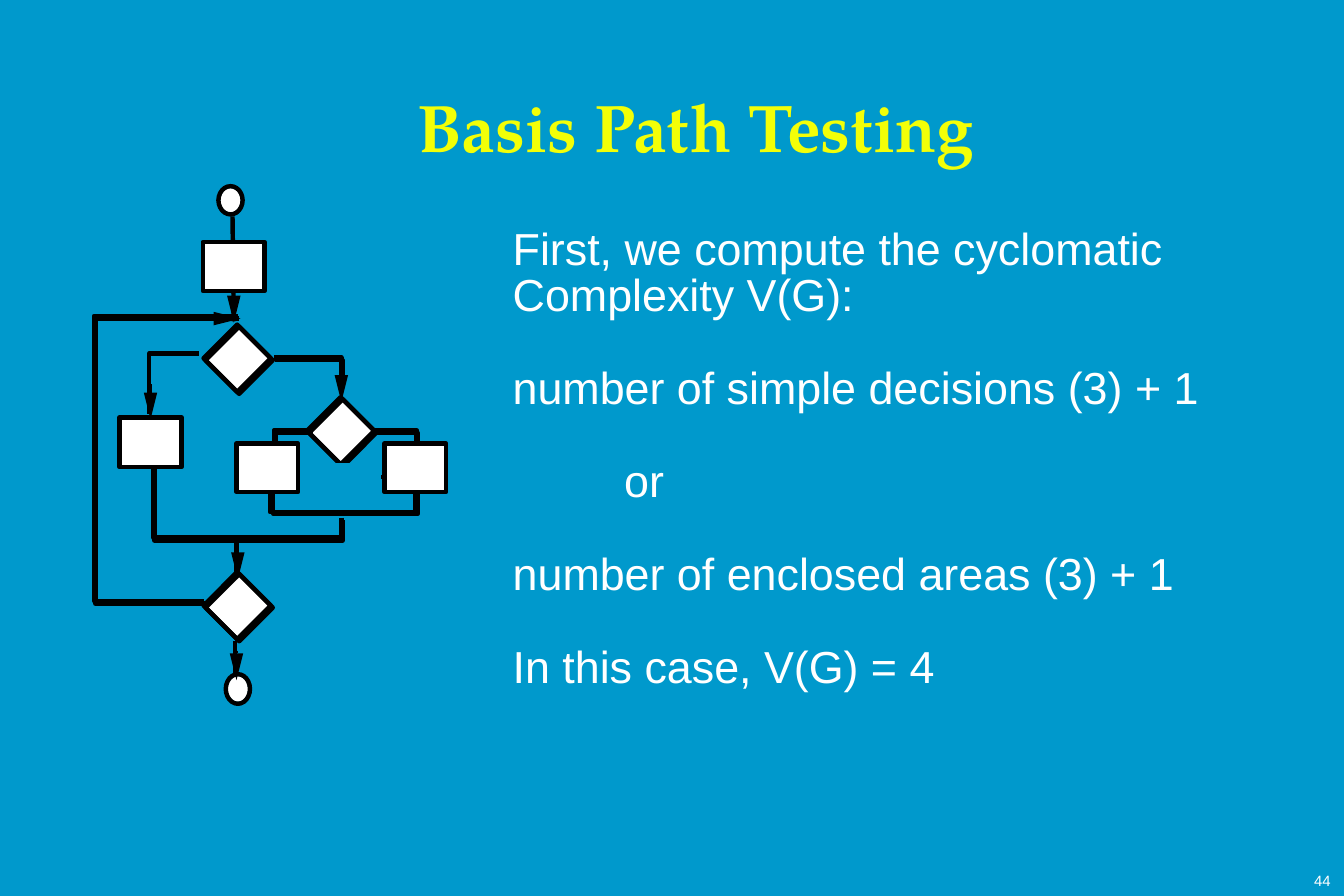
"""Build the slide on basis path testing, on a grid of 100 cells to the inch."""
from typing import NamedTuple

from lxml import etree
from pptx import Presentation
from pptx import util as u
from pptx.dml.color import RGBColor
from pptx.enum import shapes, text
from pptx.oxml.ns import qn

WIDE, HIGH = u.Inches(10), u.Emu(6094413)
CELL = u.Inches(0.01)
BLUE = RGBColor(0x00, 0x99, 0xCC)
BLACK = RGBColor(0x00, 0x00, 0x00)
WHITE = RGBColor(0xFF, 0xFF, 0xFF)
YELLOW = RGBColor(0xF3, 0xFF, 0x07)
THICK, THIN = 2.38, 1.39
RECT = shapes.MSO_SHAPE.RECTANGLE
OVAL = shapes.MSO_SHAPE.OVAL
GEM = shapes.MSO_SHAPE.DIAMOND


class Area(NamedTuple):
    col: float
    row: float
    wide: float
    high: float


class Point(NamedTuple):
    col: float
    row: float


class Route(NamedTuple):
    points: list[Point]
    twice: bool = True


class Arrow(NamedTuple):
    tip: Point
    stub: float
    down: bool = True


class Phrase(NamedTuple):
    words: str
    step: int
    wide: float
    dent: float = 0


GEMS = [Point(230, 297), Point(153, 243), Point(153, 427)]
STEPS = [Area(151, 180, 46, 36.5), Area(176, 330, 46, 36),
         Area(286, 330, 46, 36), Area(89, 310.5, 46, 37)]
ENDS = [Area(162.5, 138.5, 18, 21), Area(168, 501.5, 18, 22)]
JOIN = Area(201, 355, 108, 26)
COVER = Area(224, 345, 59, 19)
ROUTES = [
    Route([Point(205, 268), Point(255, 268), Point(255, 284)]),
    Route([Point(148, 263), Point(111, 263), Point(111, 308)], False),
    Route([Point(280, 322), Point(311, 322), Point(311, 347)]),
    Route([Point(233, 322), Point(205, 322), Point(205, 352)]),
    Route([Point(203, 367), Point(203, 382), Point(311, 382), Point(311, 367)], False),
    Route([Point(153, 449), Point(71, 449), Point(71, 237), Point(178, 237)]),
    Route([Point(255, 387), Point(255, 402), Point(115, 402), Point(115, 349)]),
]
LINKS = [(Point(173, 161), Point(174, 239)),
         (Point(176, 402), Point(176, 427)),
         (Point(175, 477), Point(175, 501))]
ARROWS = [Arrow(Point(179, 237), 1, False), Arrow(Point(254, 299), 8),
          Arrow(Point(112, 312), 6), Arrow(Point(177, 431), 8),
          Arrow(Point(174, 240), 1), Arrow(Point(176, 506), 2)]
PHRASES = [
    Phrase("First, we compute the cyclomatic", 0, 493),
    Phrase("Complexity V(G):", 1, 254),
    Phrase("number of simple decisions (3) + 1", 3, 594),
    Phrase("or", 5, 113, 83),
    Phrase("number of enclosed areas (3) + 1", 7, 492),
    Phrase("In this case, V(G) = 4", 9, 314),
]


def cells(*counts: float) -> list[int]:
    """Turn cell counts into lengths."""
    return [round(n * CELL) for n in counts]


def paint(shape, fill=None, line=None, width: float = THICK) -> None:
    """Set fill and line, and drop the shadow."""
    shape.shadow.inherit = False
    for part, tint in ((shape.fill, fill), (shape.line.fill, line)):
        if tint is None:
            part.background()
        else:
            part.solid()
            part.fore_color.rgb = tint
    if line is not None:
        shape.line.width = u.Pt(width)


def block(tree, kind, area: Area, fill=None, line=None, width: float = THICK) -> None:
    """Draw one preset shape."""
    paint(tree.add_shape(kind, *cells(*area)), fill, line, width)


def framed(tree, kind, area: Area) -> None:
    """Draw a white core inside a black frame."""
    core = Area(area.col + 1.5, area.row + 1.5, area.wide - 3, area.high - 3)
    block(tree, kind, core, fill=WHITE)
    block(tree, kind, area, line=BLACK)


def choice(tree, at: Point) -> None:
    """Draw a decision with a doubled outline."""
    block(tree, GEM, Area(*at, 50, 50), WHITE, BLACK)
    block(tree, GEM, Area(at.col - 1.5, at.row - 1.5, 50, 50), line=BLACK)


def trace(tree, points: list[Point], close: bool = False):
    """Outline a run of points."""
    pen = tree.build_freeform(*points[0], scale=CELL)
    pen.add_line_segments(points[1:], close=close)
    return pen.convert_to_shape()


def route(tree, item: Route) -> None:
    """Draw a bent path, doubled where it is heavy."""
    paint(trace(tree, item.points), line=BLACK)
    if item.twice:
        paint(trace(tree, [Point(p.col - 1, p.row - 2) for p in item.points]), line=BLACK)


def link(tree, start: Point, end: Point, width: float = THICK) -> None:
    """Draw a straight black line."""
    wire = tree.add_connector(shapes.MSO_CONNECTOR.STRAIGHT, *cells(*start, *end))
    wire.line.color.rgb = BLACK
    wire.line.width = u.Pt(width)
    etree.SubElement(wire._element.spPr, qn("a:effectLst"))


def arrow(tree, item: Arrow) -> None:
    """Draw an arrowhead with its short stub as one group."""
    col, row = item.tip
    group = tree.add_group_shape().shapes

    def back(far: float, side: float) -> Point:
        return Point(col + side, row - far) if item.down else Point(col - far, row + side)

    head = trace(group, [item.tip, back(20, -5), back(20, 5)], close=True)
    paint(head, fill=BLACK)
    link(group, back(20 + item.stub, 0), back(20, 0), THIN)


def write(frame, words: str, size: float, face: str, tint, bold: bool = False):
    """Add one formatted run and return its paragraph."""
    para = frame.paragraphs[0]
    run = para.add_run()
    run.text = words
    font = run.font
    font.size, font.name, font.bold = u.Pt(size), face, bold
    font.color.rgb = tint
    return para


def inset(frame, side: float, edge: float) -> None:
    """Set the margins of a text frame."""
    frame.margin_left = frame.margin_right = cells(side)[0]
    frame.margin_top = frame.margin_bottom = cells(edge)[0]
    frame.word_wrap = True


def phrase(tree, item: Phrase) -> None:
    """Place one line of text on its row."""
    area = Area(381.5, 168.5 + 34.6 * item.step, item.wide, 36)
    frame = tree.add_textbox(*cells(*area)).text_frame
    inset(frame, 0, 0)
    para = write(frame, item.words, 24, "Arial", WHITE)
    para.line_spacing = 0.9
    if item.dent:
        para._p.get_or_add_pPr().set("marL", str(cells(item.dent)[0]))


def main() -> None:
    """Build and save the slide."""
    deck = Presentation()
    deck.slide_width, deck.slide_height = WIDE, HIGH
    slide = deck.slides.add_slide(deck.slide_layouts[5])
    slide.background.fill.solid()
    slide.background.fill.fore_color.rgb = BLUE
    tree = slide.shapes

    title = tree.title
    title.left, title.top, title.width, title.height = cells(292, 60.5, 451, 66)
    inset(title.text_frame, 7, 3)
    title.text_frame.auto_size = text.MSO_AUTO_SIZE.NONE
    para = write(title.text_frame, "Basis Path Testing", 36, "TeX Gyre Pagella", YELLOW, True)
    para.alignment = text.PP_ALIGN.CENTER

    for at in GEMS:
        choice(tree, at)
    for item in ROUTES:
        route(tree, item)
    for start, end in LINKS:
        link(tree, start, end)
    block(tree, RECT, JOIN, line=BLACK)
    for kind, areas in ((RECT, STEPS), (OVAL, ENDS)):
        for area in areas:
            framed(tree, kind, area)
    for item in ARROWS:
        arrow(tree, item)
    for item in PHRASES:
        phrase(tree, item)
    block(tree, RECT, COVER, BLUE, BLUE, 1)

    frame = tree.add_textbox(*cells(931, 620.5, 69, 46)).text_frame
    inset(frame, 10, 5)
    frame.vertical_anchor = text.MSO_ANCHOR.BOTTOM
    write(frame, "44", 8, "Arial", WHITE).alignment = text.PP_ALIGN.RIGHT
    deck.save("out.pptx")


if __name__ == "__main__":
    main()
